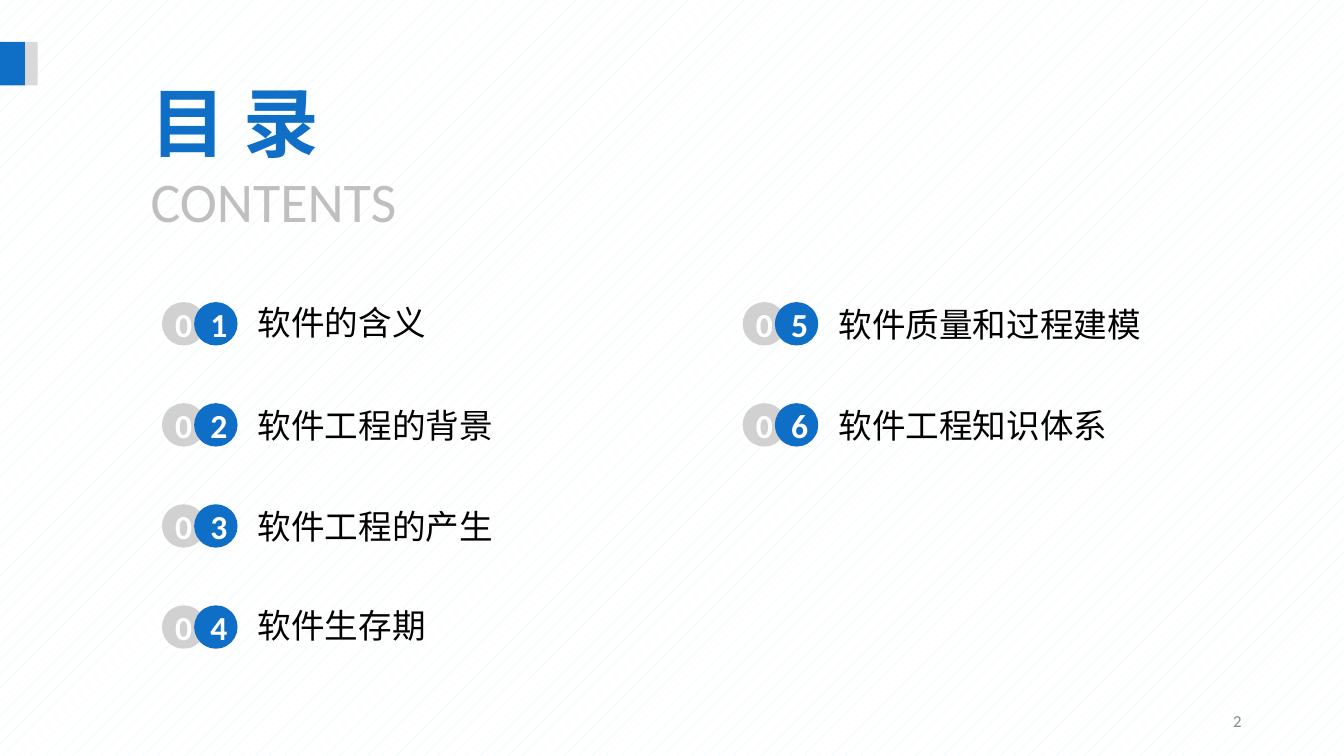
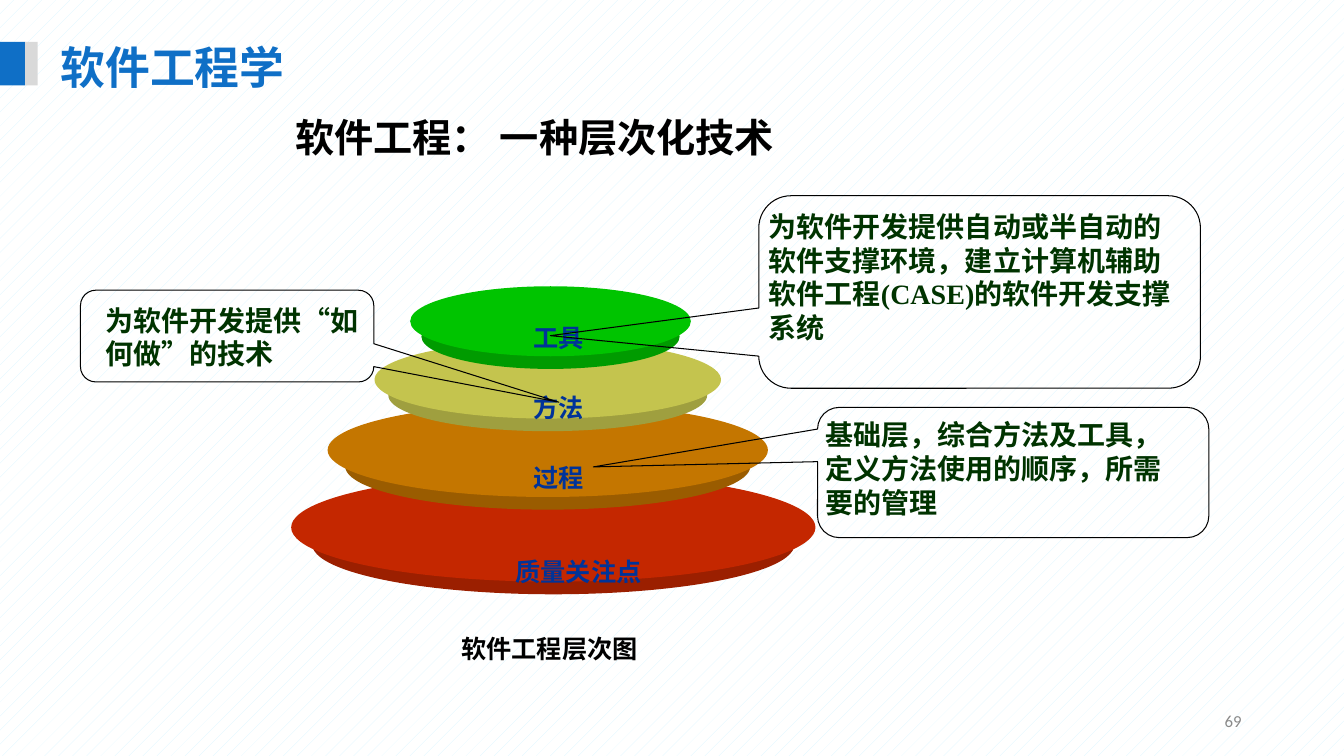
from lxml import etree
from pptx import Presentation
from pptx.dml.color import RGBColor
from pptx.enum.dml import MSO_PATTERN
from pptx.enum.shapes import MSO_SHAPE
from pptx.enum.text import MSO_ANCHOR, MSO_AUTO_SIZE, PP_ALIGN
from pptx.oxml.ns import qn
from pptx.util import Pt

RECTANGLE = MSO_SHAPE.RECTANGLE
ELLIPSE = MSO_SHAPE.OVAL
CALLOUT = MSO_SHAPE.ROUNDED_RECTANGULAR_CALLOUT
DOTS = MSO_PATTERN.PERCENT_5
TOP, MIDDLE = MSO_ANCHOR.TOP, MSO_ANCHOR.MIDDLE
LEFT, CENTER, RIGHT = PP_ALIGN.LEFT, PP_ALIGN.CENTER, PP_ALIGN.RIGHT
GROW, FIXED = MSO_AUTO_SIZE.SHAPE_TO_FIT_TEXT, MSO_AUTO_SIZE.NONE

# Shared style
BLUE, BLACK, WHITE, DOT_BLUE = "0F6FC6", "000000", "FFFFFF", "D7F5FF"
BAR_GRAY, BADGE_GRAY, SUBTITLE_GRAY, NUMBER_GRAY = "D9D9D9", "D1D1D1", "BFBFBF", "898989"
LABEL_BLUE, NOTE_GREEN = "003399", "003300"
SANS, LATIN, SERIF, LABEL = "Noto Sans CJK SC", "Calibri", "Times New Roman", "Arial"


def color(value):
    return RGBColor.from_string(value)


def points(*lengths):
    return [Pt(length) for length in lengths]


def write(shape, text, size=24, face=SANS, ink=BLACK, bold=False, align=LEFT,
          anchor=TOP, insets=(7.2, 3.6, 7.2, 3.6), spacing=None, grow=False):
    """Fill a shape with one paragraph; text is a string or (text, face) pairs."""
    frame = shape.text_frame
    frame.word_wrap = True
    frame.auto_size = GROW if grow else FIXED
    frame.vertical_anchor = anchor
    (frame.margin_left, frame.margin_top,
     frame.margin_right, frame.margin_bottom) = points(*insets)
    para = frame.paragraphs[0]
    para.alignment = align
    if spacing:
        para.line_spacing = spacing
    for words, span_face in [(text, face)] if isinstance(text, str) else text:
        span = para.add_run()
        span.text = words
        font = span.font
        font.size, font.bold, font.name = Pt(size), bold, span_face
        font.color.rgb = color(ink)
        east_asian = etree.SubElement(font._element, qn("a:ea"))
        east_asian.set("typeface", SANS)


class Deck:
    def __init__(self):
        self.deck = Presentation()
        self.deck.slide_width, self.deck.slide_height = points(960, 540)
        fill = self.deck.slide_master.background.fill
        fill.patterned()
        fill.pattern = DOTS
        fill.fore_color.rgb, fill.back_color.rgb = color(DOT_BLUE), color(WHITE)

    def new_page(self, title, box, size, number):
        self.page = self.deck.slides.add_slide(self.deck.slide_layouts[5])
        self.shape(RECTANGLE, (0, 30, 18, 31), BLUE)
        self.shape(RECTANGLE, (18, 30, 9, 31), BAR_GRAY)
        heading = self.page.shapes.title
        heading.left, heading.top, heading.width, heading.height = points(*box)
        write(heading, title, size=size, ink=BLUE, bold=True, grow=True)
        self.text(number, (678, 500.5, 216, 29), size=12, face=LATIN,
                  ink=NUMBER_GRAY, align=RIGHT, anchor=MIDDLE)

    def shape(self, kind, box, fill=None, line=None):
        shape = self.page.shapes.add_shape(kind, *points(*box))
        shape.shadow.inherit = False
        if fill:
            shape.fill.solid()
            shape.fill.fore_color.rgb = color(fill)
        else:
            shape.fill.background()
        if line:
            shape.line.color.rgb = color(line)
            shape.line.width = Pt(0.75)
        else:
            shape.line.fill.background()
        return shape

    def text(self, text, box, **style):
        write(self.page.shapes.add_textbox(*points(*box)), text, **style)

    def agenda_item(self, left, top, number, text, spacing):
        digit = dict(face=LATIN, ink=WHITE, bold=True, align=CENTER, anchor=MIDDLE)
        zero = self.shape(ELLIPSE, (left, top, 31, 31), BADGE_GRAY)
        write(zero, "0", insets=(0, 0, 0, 0), **digit)
        badge = self.shape(ELLIPSE, (left + 23, top, 31, 31), BLUE)
        write(badge, str(number), **digit)
        self.text(text, (left + 54, top - 8, 270, 47.5), anchor=MIDDLE,
                  insets=(14.4, 0, 0, 0), spacing=spacing)

    def disc(self, left, top, width, height, face, side):
        shrink, drop = 0.92, 9
        base_width, base_height = width * shrink, height * shrink
        self.shape(ELLIPSE, (left + (width - base_width) / 2,
                             top + drop + height - base_height,
                             base_width, base_height), side)
        self.shape(ELLIPSE, (left, top, width, height), face)

    def callout(self, box, tail):
        bubble = self.shape(CALLOUT, box, line=BLACK)
        for index, value in enumerate((*tail, 0.167)):
            bubble.adjustments[index] = value


def agenda_page(deck):
    deck.new_page("目 录", (100.5, 50.5, 194, 73), 54, "2")
    deck.text("CONTENTS", (100.5, 115.5, 194, 55.5), size=40, face=LATIN,
              ink=SUBTITLE_GRAY, grow=True)
    items = [("软件的含义", 0.9), ("软件工程的背景", None), ("软件工程的产生", None),
             ("软件生存期", 0.9), ("软件质量和过程建模", None), ("软件工程知识体系", None)]
    for index, (text, spacing) in enumerate(items):
        column, row = divmod(index, 4)
        deck.agenda_item(115.7 + 414.8 * column, 215.8 + 72.2 * row, index + 1,
                         text, spacing)


def layers_page(deck):
    deck.new_page("软件工程学", (36, 24.5, 563, 46), 32, "69")
    deck.text("软件工程： 一种层次化技术", (203.8, 69, 558, 57.5), size=28, bold=True,
              anchor=MIDDLE)

    # Layered discs, from the bottom up
    for disc in [(208, 338, 374.5, 77.5, "C42700", "9B1F00"),
                 (234, 288, 314.5, 67, "C47600", "9A5C00"),
                 (267.5, 243.5, 247.5, 55.5, "C4C44E", "9F9F3F"),
                 (293, 204.5, 200.5, 50, "00C400", "009B00")]:
        deck.disc(*disc)
    for text, left, top in [("质量关注点", 361.2, 394), ("过程", 374, 327),
                            ("方法", 374, 277), ("工具", 374, 227)]:
        deck.text(text, (left, top, 106, 29), size=18, face=LABEL, ink=LABEL_BLUE,
                  bold=True, grow=True)
    deck.text("软件工程层次图", (322.5, 449, 200, 29), size=18, face=LABEL, bold=True,
              grow=True)

    # Callouts and their notes
    quoted = [("为软件开发提供", SERIF), ("“", SANS), ("如何做", SERIF), ("”", SANS),
              ("的技术", SERIF)]
    for bubble, tail, note, text in [
            ((584, 291, 279.5, 93), (-1.073, -0.043), (582.5, 295, 264, 80),
             "基础层，综合方法及工具，定义方法使用的顺序，所需要的管理"),
            ((542, 139.8, 315.5, 137.5), (-0.972, 0.227), (542, 146, 304.5, 104.5),
             "为软件开发提供自动或半自动的软件支撑环境，建立计算机辅助软件工程(CASE)的软件开发支撑系统"),
            ((57.5, 207.3, 209.5, 65.5), (1.131, 0.721), (68.4, 213, 212.5, 55.5), quoted)]:
        deck.callout(bubble, tail)
        deck.text(text, note, size=20, face=SERIF, ink=NOTE_GREEN, bold=True, grow=True)


def main():
    deck = Deck()
    agenda_page(deck)
    layers_page(deck)
    deck.deck.save("out.pptx")


if __name__ == "__main__":
    main()
